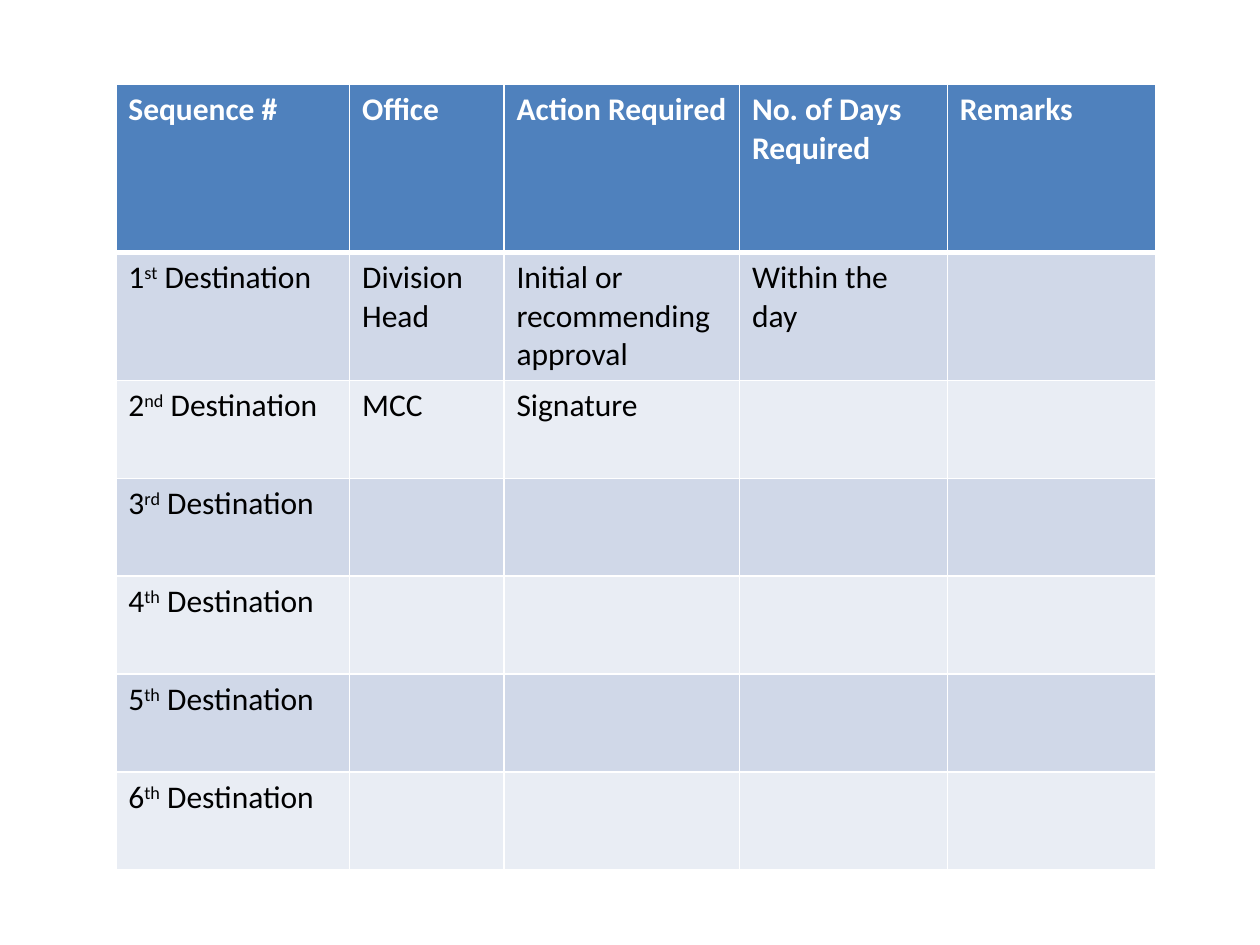
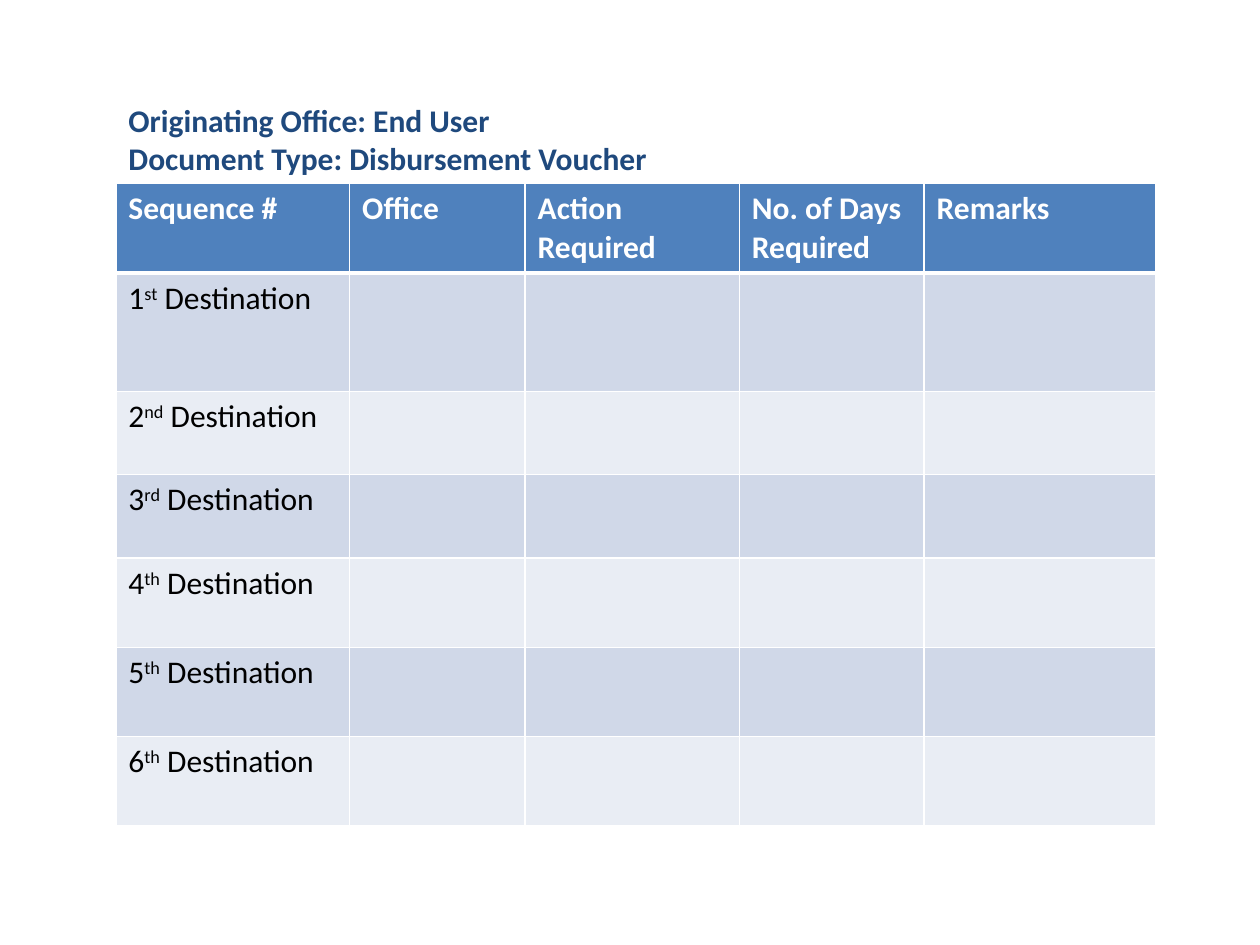
from pptx import Presentation
from pptx.dml.color import RGBColor
from pptx.enum.text import MSO_ANCHOR as Anchor, MSO_AUTO_SIZE as AutoSize, PP_ALIGN as Align
from pptx.oxml.ns import qn
from pptx.util import Pt
from lxml.etree import SubElement

# Shared look
FONT, SIZE = "Calibri", 18
WHITE, BLACK, NAVY = "FFFFFF", "000000", "1F497D"
HEADER_FILL, BAND_FILLS = "4F81BD", ("D0D8E8", "E9EDF4")
LEFT, WIDTH = 66.2, 594
HEADERS = ["Sequence #", "Office", "Action Required", "No. of Days Required", "Remarks"]
ORDINALS = ["st", "nd", "rd", "th", "th", "th"]


def rgb(hex_color):
    return RGBColor.from_string(hex_color)


def add_run(p, text, color, bold=False, superscript=False):
    r = p.add_run()
    r.text = text
    for name, value in {"name": FONT, "size": Pt(SIZE), "bold": bold}.items():
        setattr(r.font, name, value)
    r.font.color.rgb = rgb(color)
    if superscript:
        r._r.get_or_add_rPr().set("baseline", "30000")


def style_cell(cell, fill, bottom=1):
    """White borders on all sides, then the fill, in schema order."""
    tc_pr = cell._tc.get_or_add_tcPr()
    for side, width in {"lnL": 1, "lnR": 1, "lnT": 1, "lnB": bottom}.items():
        ln = SubElement(tc_pr, qn(f"a:{side}"), w=str(Pt(width)))
        SubElement(SubElement(ln, qn("a:solidFill")), qn("a:srgbClr"), val=WHITE)
    cell.fill.solid()
    cell.fill.fore_color.rgb = rgb(fill)


def add_routing_table(s, top, col_widths, row_heights, entries):
    """entries holds the texts after the first column, by destination number."""
    frame = s.shapes.add_table(len(row_heights), len(col_widths), Pt(LEFT), Pt(top),
                               Pt(WIDTH), Pt(sum(row_heights)))
    table = frame.table
    for col, width in zip(table.columns, col_widths):
        col.width = Pt(width)
    for row, height in zip(table.rows, row_heights):
        row.height = Pt(height)

    # Header row
    for c, text in enumerate(HEADERS):
        cell = table.cell(0, c)
        style_cell(cell, HEADER_FILL, bottom=3)
        add_run(cell.text_frame.paragraphs[0], text, WHITE, bold=True)

    # Destination rows
    for n, suffix in enumerate(ORDINALS, 1):
        for c in range(len(HEADERS)):
            style_cell(table.cell(n, c), BAND_FILLS[(n - 1) % 2],
                       bottom=1)
        p = table.cell(n, 0).text_frame.paragraphs[0]
        add_run(p, str(n), BLACK)
        add_run(p, suffix, BLACK, superscript=True)
        add_run(p, " Destination", BLACK)
        for c, text in enumerate(entries.get(n, []), 1):
            add_run(table.cell(n, c).text_frame.paragraphs[0], text, BLACK)


def add_document_heading(s, top, height, lines):
    title = s.shapes.title
    box = {"left": LEFT, "top": top, "width": WIDTH, "height": height}
    for name, value in box.items():
        setattr(title, name, Pt(value))
    tf = title.text_frame
    for name, value in {"word_wrap": True, "auto_size": AutoSize.NONE,
                        "vertical_anchor": Anchor.TOP}.items():
        setattr(tf, name, value)
    for i, line in enumerate(lines):
        p = tf.add_paragraph() if i else tf.paragraphs[0]
        p.alignment = Align.LEFT
        add_run(p, line, NAVY, bold=True)


def main():
    prs = Presentation()
    prs.slide_width, prs.slide_height = Pt(720), Pt(540)
    title_only, blank = prs.slide_layouts[5], prs.slide_layouts[6]

    # Sample routing
    s = prs.slides.add_slide(blank)
    add_routing_table(s, 48.2, [133.6, 88.2, 134.6, 118.8, 118.8], [96] + [56] * 6, {
        1: ["Division Head", "Initial or recommending approval", "Within the day"],
        2: ["MCC", "Signature"],
    })

    # Blank form for the disbursement voucher
    s = prs.slides.add_slide(title_only)
    add_document_heading(s, 54, 51, ["Originating Office: End User",
                                     "Document Type: Disbursement Voucher"])
    add_routing_table(s, 104.9, [133.6, 100.3, 122.4, 105.6, 132.1],
                      [45.5, 67.5] + [47.7] * 2 + [51] * 3, {})

    prs.save("out.pptx")


if __name__ == "__main__":
    main()
